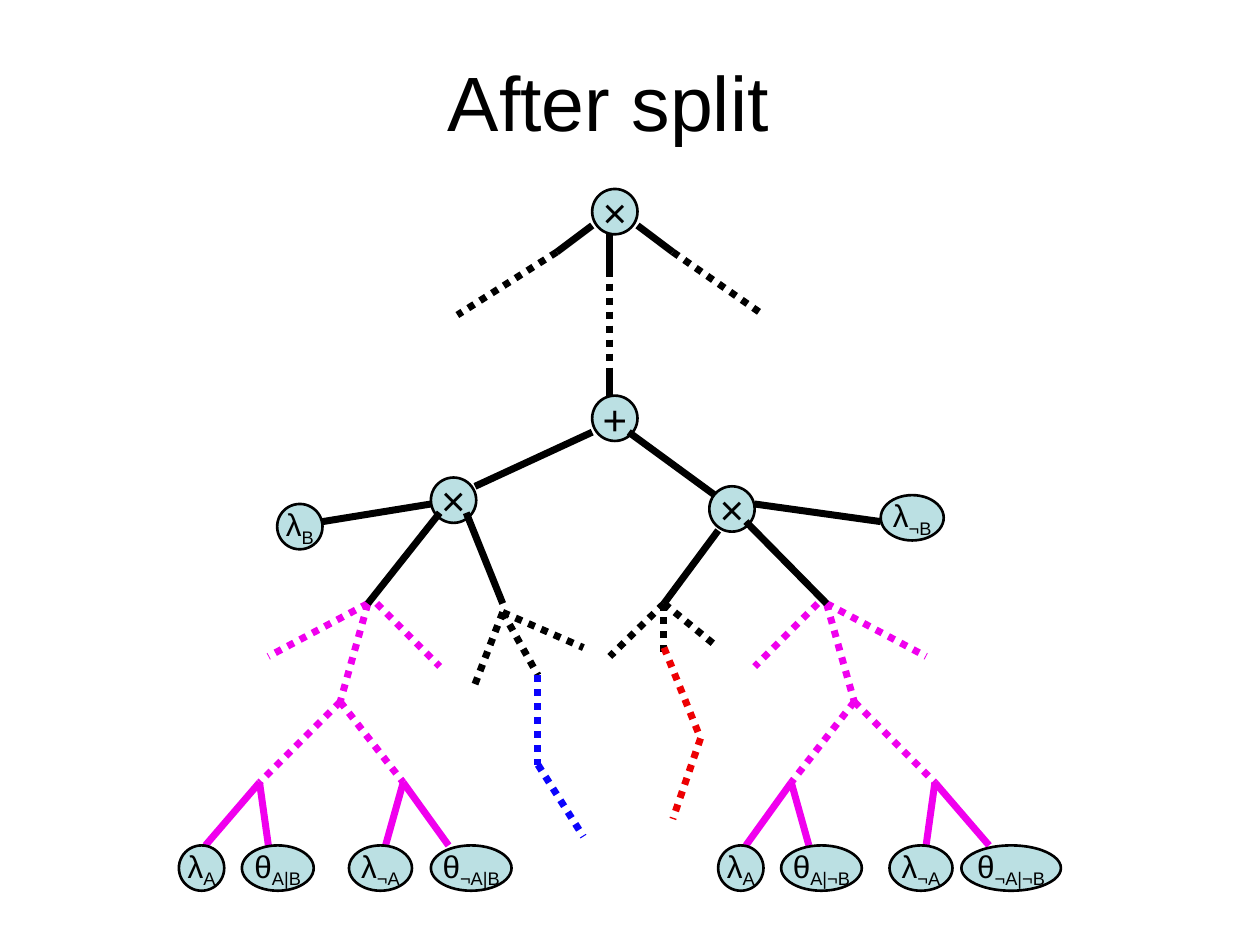
from dataclasses import dataclass
from itertools import pairwise

from lxml.etree import SubElement
from pptx import Presentation
from pptx.dml.color import RGBColor as RGB
from pptx.enum.dml import MSO_LINE as Dash
from pptx.enum.shapes import MSO_CONNECTOR as Link, MSO_SHAPE as Shape
from pptx.enum.text import MSO_ANCHOR as Anchor, PP_ALIGN as Align
from pptx.oxml.ns import qn
from pptx.util import Inches, Pt


@dataclass(frozen=True)
class Theme:
    """Colours, type sizes and line weights of the slide."""
    font: str = "Arial"
    ink: RGB = RGB(0x00, 0x00, 0x00)
    node: RGB = RGB(0xBB, 0xE0, 0xE3)
    shared: RGB = RGB(0xF0, 0x00, 0xEE)
    when_b: RGB = RGB(0x0B, 0x04, 0xFC)
    when_not_b: RGB = RGB(0xED, 0x00, 0x02)
    title: Pt = Pt(44)
    operator: Pt = Pt(24)
    leaf: Pt = Pt(18)
    outline: Pt = Pt(1.5)
    edge: Pt = Pt(4)


@dataclass(frozen=True)
class Box:
    """A region in inches whose inner points can be mirrored left to right."""
    left: float
    top: float
    width: float
    height: float
    mirrored: bool = False

    def place(self, x, y):
        """Return the slide position of a point inside the box."""
        inner = self.width - x if self.mirrored else x
        return Inches(self.left + inner), Inches(self.top + y)


THEME = Theme()
NODE = 0.36


def apply(target, values):
    """Set every attribute in a dict of format values."""
    for name, value in values.items():
        setattr(target, name, value)


def write(frame, text, size, subscript=""):
    """Write centred text with an optional subscript."""
    apply(frame, {"vertical_anchor": Anchor.MIDDLE})
    paragraph = frame.paragraphs[0]
    paragraph.alignment = Align.CENTER
    for part in filter(None, (text, subscript)):
        run = paragraph.add_run()
        run.text = part
        apply(run.font, {"name": THEME.font, "size": size})
        run.font.color.rgb = THEME.ink
    if subscript:
        run._r.get_or_add_rPr().set("baseline", "-25000")


def draw_path(slide, box, points, color=THEME.ink, dash=None):
    """Draw straight edges through points relative to the box."""
    for start, end in pairwise(points):
        edge = slide.shapes.add_connector(
            Link.STRAIGHT, *box.place(*start), *box.place(*end))
        apply(edge.line, {"width": THEME.edge, "dash_style": dash})
        edge.line.color.rgb = color
        SubElement(edge._element.spPr, qn("a:effectLst"))


def draw_node(slide, box, x, y, text, subscript="", width=NODE):
    """Draw one labelled circuit node relative to the box."""
    node = slide.shapes.add_shape(
        Shape.OVAL, *box.place(x, y), Inches(width), Inches(NODE))
    node.shadow.inherit = False
    node.fill.solid()
    node.fill.fore_color.rgb = THEME.node
    node.line.color.rgb = THEME.ink
    node.line.width = THEME.outline
    node.text_frame.word_wrap = False
    size = THEME.leaf if subscript else THEME.operator
    write(node.text_frame, text, size, subscript)


def draw_title(slide, box):
    """Draw the slide title in the box."""
    title = slide.shapes.add_textbox(
        *box.place(0, 0), Inches(box.width), Inches(box.height))
    title.text_frame.word_wrap = True
    write(title.text_frame, "After split", THEME.title)


def draw_root(slide, box):
    """Draw the root product and the sum node below it."""
    draw_node(slide, box, 1.07, 1.64, "+")
    draw_node(slide, box, 1.07, 0, "×")
    for start, bend, end in (
        ((1.07, 0.29), (0.79, 0.5), (0, 1)),
        ((1.43, 0.29), (1.71, 0.5), (2.43, 1)),
        ((1.21, 0.36), (1.21, 0.64), (1.21, 1.43)),
    ):
        draw_path(slide, box, (start, bend))
        draw_path(slide, box, (bend, end), dash=Dash.ROUND_DOT)
    draw_path(slide, box, ((1.21, 1.43), (1.21, 1.64)))


def draw_case(slide, box, product, indicator, above, below):
    """Draw the product node of one case with its edges and indicator leaf."""
    for points in above:
        draw_path(slide, box, points)
    draw_node(slide, box, *product, "×")
    for points in below:
        draw_path(slide, box, points)
    draw_node(slide, box, *indicator)


def draw_shared(slide, box):
    """Draw the subcircuit that appears in both cases."""
    apex, hub, outer, inner = (1.29, 0), (1.07, 0.78), (0.43, 1.42), (1.57, 1.42)
    for points in ((apex, (0.5, 0.42)), ((1.36, 0), (1.86, 0.5)),
                   (apex, hub, outer), (hub, inner)):
        draw_path(slide, box, points, THEME.shared, Dash.ROUND_DOT)
    for joint, feet in ((outer, (0, 0.5)), (inner, (1.43, 1.93))):
        for foot in feet:
            draw_path(slide, box, (joint, (foot, box.height)), THEME.shared)


def draw_fan(slide, box, apex, tips, tail, color):
    """Draw dotted branches from an apex and one coloured tail."""
    for tip in tips:
        draw_path(slide, box, (apex, tip), dash=Dash.ROUND_DOT)
    draw_path(slide, box, tail, color, Dash.ROUND_DOT)


def draw_leaves(slide, box, leaves):
    """Draw a row of leaves from (offset, width, symbol, subscript)."""
    for x, width, symbol, subscript in leaves:
        draw_node(slide, box, x, 0, symbol, subscript, width)


def main():
    """Build the slide and save it."""
    deck = Presentation()
    apply(deck, {"slide_width": Inches(10), "slide_height": Inches(7.5)})
    slide = deck.slides.add_slide(deck.slide_layouts[6])

    draw_root(slide, Box(3.63, 1.5, 2.43, 2))
    draw_shared(slide, Box(1.63, 4.79, 1.93, 1.92))
    draw_shared(slide, Box(5.92, 4.79, 1.93, 1.92, mirrored=True))
    draw_fan(slide, Box(3.77, 4.86, 0.86, 1.78), (0.22, 0),
             ((0, 0.57), (0.86, 0.28), (0.5, 0.5)),
             ((0.5, 0.5), (0.5, 1.21), (0.86, 1.78)), THEME.when_b)
    draw_fan(slide, Box(4.84, 4.79, 0.86, 1.71), (0.43, 0),
             ((0, 0.42), (0.86, 0.35), (0.43, 0.42)),
             ((0.43, 0.35), (0.72, 1.07), (0.5, 1.71)), THEME.when_not_b)
    draw_case(slide, Box(2.2, 3.43, 2.5, 1.36),
              (1.22, 0.36), (0, 0.57, "λ", "B"),
              (((2.5, 0), (1.57, 0.43)), ((1.22, 0.57), (0.36, 0.71))),
              (((1.29, 0.64), (0.72, 1.36)), ((1.5, 0.64), (1.79, 1.36))))
    draw_case(slide, Box(4.99, 3.43, 2.5, 1.36),
              (0.64, 0.43), (2, 0.5, "λ", "¬B", 0.5),
              (((0, 0), (0.78, 0.57)), ((1, 0.57), (2, 0.71))),
              (((0.71, 0.78), (0.28, 1.36)), ((0.93, 0.71), (1.57, 1.36))))
    draw_leaves(slide, Box(1.42, 6.71, 2.64, NODE), (
        (0, NODE, "λ", "A"), (0.5, 0.57, "θ", "A|B"),
        (1.35, 0.5, "λ", "¬A"), (2, 0.64, "θ", "¬A|B")))
    draw_leaves(slide, Box(5.7, 6.71, 2.72, NODE), (
        (0, NODE, "λ", "A"), (0.5, 0.64, "θ", "A|¬B"),
        (1.36, 0.5, "λ", "¬A"), (1.93, 0.79, "θ", "¬A|¬B")))
    draw_title(slide, Box(0.58, 0.17, 8.5, 1.25))
    deck.save("out.pptx")


if __name__ == "__main__":
    main()
